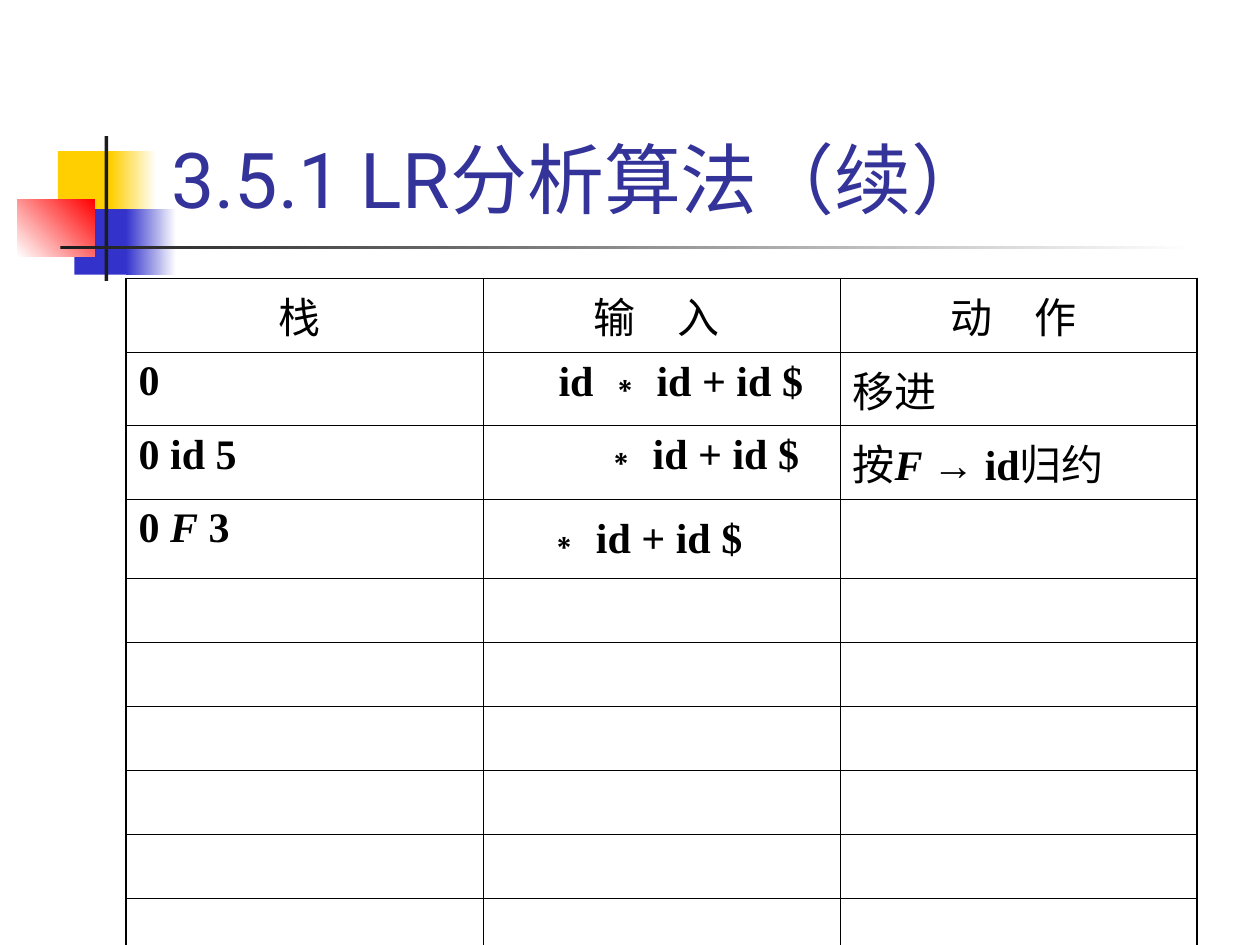
from lxml.etree import SubElement
from pptx import Presentation
from pptx.dml.color import RGBColor
from pptx.enum.shapes import MSO_SHAPE
from pptx.enum.text import MSO_ANCHOR, MSO_AUTO_SIZE, PP_ALIGN
from pptx.oxml.ns import qn
from pptx.util import Inches, Pt

THEME = {
    "yellow": "FFCF01", "blue": "3333CC", "red": "FF0000", "white": "FFFFFF",
    "dark": "1C1C1C", "title": "333399", "text": "000000",
    "title_font": "Roboto", "cjk_font": "Noto Sans CJK SC",
    "title_size": 44, "table_size": 24, "outer_line": 1.08, "inner_line": 0.45,
}
STYLES = {
    "cjk": (THEME["cjk_font"], False, False),
    "code": ("Times New Roman", True, False),
    "variable": ("Times New Roman", True, True),
    "symbol": ("Arial", True, False),
}

TITLE = "3.5.1 LR分析算法（续）"
ORNAMENTS = [
    ((0.46, 1.2, 0.48, 0.52), ["yellow"], 0),
    ((0.88, 1.2, 0.36, 0.52), ["yellow", "white"], 0),
    ((0.59, 1.66, 0.46, 0.52), ["blue"], 0),
    ((1, 1.66, 0.4, 0.52), ["blue", "white"], 0),
    ((0.14, 1.58, 0.61, 0.46), ["white", "red"], 45),
    ((0.83, 1.08, 0.03, 1.15), ["dark"], 0),
    ((0.48, 1.95, 9, 0.03), ["dark", "white"], 0),
]
REMAINING_INPUT = [("∗", "symbol"), (" id + id $", "code")]
ROWS = [
    [[("栈 ", "cjk")], [("输　入 ", "cjk")], [("动　作 ", "cjk")]],
    [[("0", "code")], [("id ", "code")] + REMAINING_INPUT, [("移进", "cjk")]],
    [[("0 id 5", "code")], REMAINING_INPUT,
     [("按", "cjk"), ("F ", "variable"), ("→", "symbol"), (" id", "code"), ("归约", "cjk")]],
    [[("0 ", "code"), ("F", "variable"), (" 3", "code")], REMAINING_INPUT, []],
] + [[[], [], []]] * 6
ROW_HEIGHTS = [0.58] * 3 + [0.63] + [0.5] * 6
INPUT_INDENTS = {1: 0.5, 2: 0.83, 3: 0.38}
TABLE_LEFT, TABLE_TOP, TABLE_WIDTH = 1, 2.21, 8.5


def color(name):
    return RGBColor.from_string(THEME[name])


def set_east_asian(properties):
    SubElement(properties, qn("a:ea")).set("typeface", THEME["cjk_font"])


def apply_style(font, properties, style):
    font.name, font.bold, font.italic = STYLES[style]
    if style == "cjk":
        set_east_asian(properties)


def add_ornament(page, bounds, colors, angle):
    block = page.shapes.add_shape(MSO_SHAPE.RECTANGLE, *map(Inches, bounds))
    block.shadow.inherit = False
    block.line.fill.background()
    if len(colors) == 1:
        block.fill.solid()
        block.fill.fore_color.rgb = color(colors[0])
        return
    block.fill.gradient()
    block.fill.gradient_angle = angle
    for stop, name in zip(block.fill.gradient_stops, colors):
        stop.color.rgb = color(name)


def add_title(page):
    title = page.shapes.title
    title.left, title.top, title.width, title.height = map(Inches, (1.26, 0.23, 8.52, 1.6))
    frame = title.text_frame
    frame.text = TITLE
    frame.auto_size = MSO_AUTO_SIZE.NONE
    frame.vertical_anchor = MSO_ANCHOR.BOTTOM
    para = frame.paragraphs[0]
    para.alignment = PP_ALIGN.LEFT
    para.font.name = THEME["title_font"]
    para.font.size = Pt(THEME["title_size"])
    para.font.color.rgb = color("title")


def set_borders(cell, outer_edges):
    properties = cell._tc.get_or_add_tcPr()
    for position, (edge, outer) in enumerate(outer_edges.items()):
        width = THEME["outer_line" if outer else "inner_line"]
        line = properties.makeelement(qn(f"a:{edge}"), {"w": str(Pt(width))})
        fill = SubElement(line, qn("a:solidFill"))
        SubElement(fill, qn("a:srgbClr")).set("val", THEME["text"])
        properties.insert(position, line)


def fill_cell(cell, spans):
    para = cell.text_frame.paragraphs[0]
    para.font.size = Pt(THEME["table_size"])
    para.font.color.rgb = color("text")
    for text, style in spans:
        span = para.add_run()
        span.text = text
        if len(spans) > 1:
            apply_style(span.font, span._r.get_or_add_rPr(), style)
    if len(spans) == 1:
        apply_style(para.font, para._p.pPr.find(qn("a:defRPr")), spans[0][1])
    return para


def add_parse_table(page):
    columns = len(ROWS[0])
    frame = page.shapes.add_table(
        len(ROWS), columns, Inches(TABLE_LEFT), Inches(TABLE_TOP),
        Inches(TABLE_WIDTH), Inches(sum(ROW_HEIGHTS)))
    table = frame.table
    table.first_row = table.horz_banding = False
    for row, (height, contents) in enumerate(zip(ROW_HEIGHTS, ROWS)):
        table.rows[row].height = Inches(height)
        for column, spans in enumerate(contents):
            cell = table.cell(row, column)
            cell.fill.background()
            para = fill_cell(cell, spans)
            if row == 0:
                para.alignment = PP_ALIGN.CENTER
            if column == 1 and row in INPUT_INDENTS:
                para._p.get_or_add_pPr().set("marL", str(Inches(INPUT_INDENTS[row])))
            set_borders(cell, {
                "lnL": column == 0, "lnR": column == columns - 1,
                "lnT": row == 0, "lnB": row == len(ROWS) - 1})
    table.cell(3, 1).vertical_anchor = MSO_ANCHOR.MIDDLE


def main():
    deck = Presentation()
    deck.slide_width, deck.slide_height = Inches(10), Inches(7.5)
    page = deck.slides.add_slide(deck.slide_layouts[5])
    for bounds, colors, angle in ORNAMENTS:
        add_ornament(page, bounds, colors, angle)
    add_title(page)
    add_parse_table(page)
    deck.save("out.pptx")


if __name__ == "__main__":
    main()
